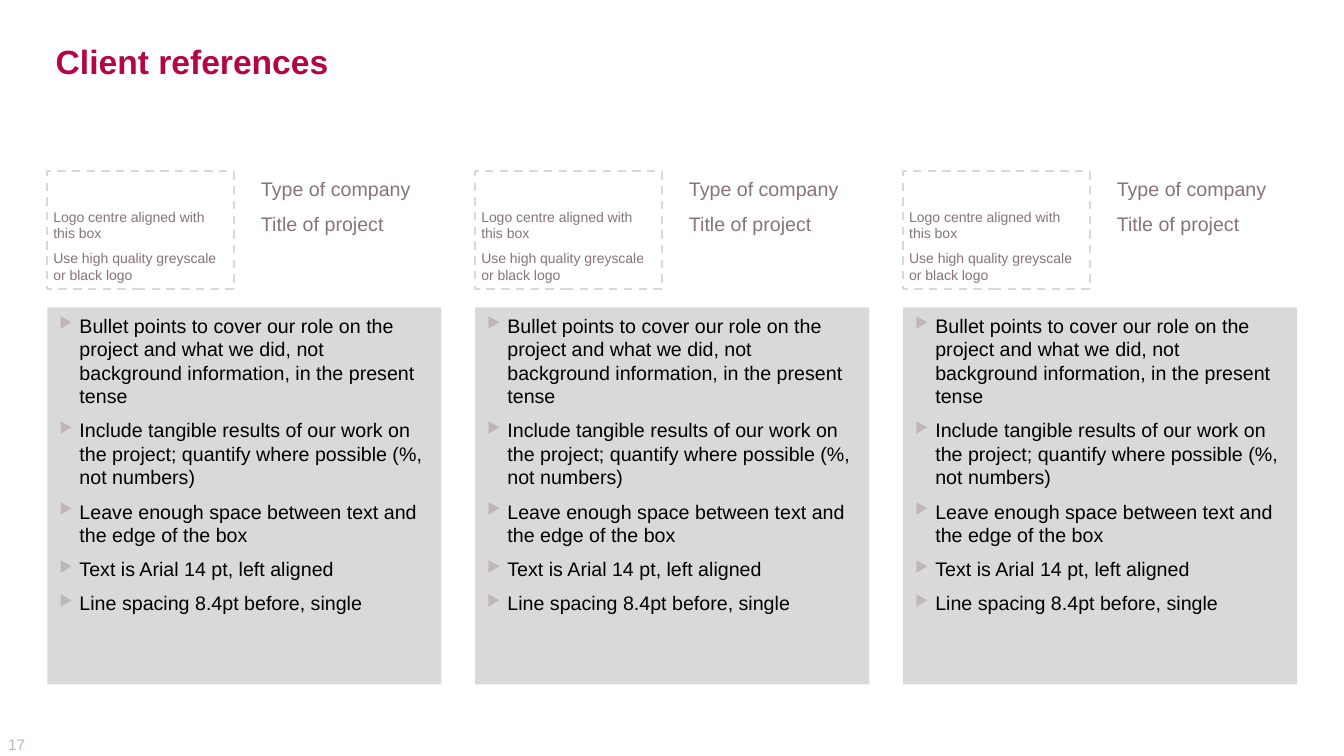
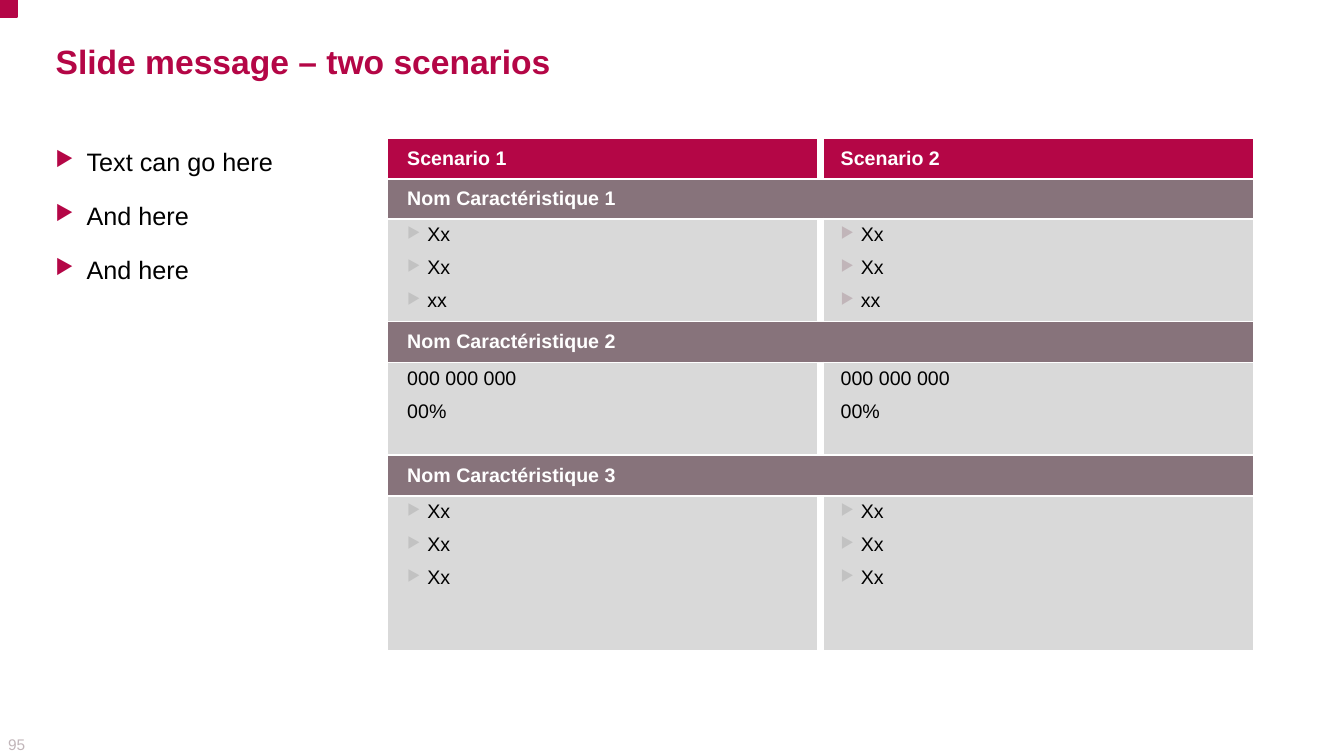
from pptx import Presentation
from pptx.dml.color import RGBColor
from pptx.enum.dml import MSO_LINE_DASH_STYLE as Dash
from pptx.enum.shapes import MSO_SHAPE as Shape
from pptx.enum.text import MSO_ANCHOR as Anchor, PP_ALIGN as Align
from pptx.oxml import parse_xml
from pptx.oxml.ns import nsdecls
from pptx.util import Pt

COLOURS = {
    "crimson": "B40646",
    "mauve": "87737B",
    "pale_mauve": "C1B5B9",
    "silver": "C2C2C2",
    "panel": "D9D9D9",
    "black": "000000",
    "white": "FFFFFF",
}
FONT = "Arial"
MARGIN = 33.8
CONTENT_WIDTH = 892.8


def rgb(name):
    return RGBColor.from_string(COLOURS[name])


class Deck:
    """Holds the shared style and the slide being built."""

    def __init__(self):
        self.presentation = Presentation()
        self.presentation.slide_width = Pt(960)
        self.presentation.slide_height = Pt(540)
        self.slide = None

    def add_slide(self, title, number):
        self.slide = self.presentation.slides.add_slide(self.presentation.slide_layouts[6])
        self.text_box(5.8, 524.9, 28, 13.7, [number], size=11, colour="pale_mauve",
                      insets=(0, 0), anchor=Anchor.MIDDLE)
        self.text_box(MARGIN, 25.2, CONTENT_WIDTH, 36.7, [title], size=24, colour="crimson",
                      bold=True, insets=(6, 3.6), anchor=Anchor.MIDDLE)

    def set_text(self, frame, lines, size=14, colour="black", bold=False, before=0, after=0,
                 bullet=None, indent=14.4, bullet_size=77):
        frame.word_wrap = True
        frame.text = "\n".join(lines)
        for index, paragraph in enumerate(frame.paragraphs):
            paragraph.alignment = Align.LEFT
            paragraph.space_before = Pt(before if index else 0)
            paragraph.space_after = Pt(after)
            if bullet:
                self.add_bullet(paragraph, bullet, indent, bullet_size)
            for run in paragraph.runs:
                run.font.name = FONT
                run.font.size = Pt(size)
                run.font.bold = bold
                run.font.color.rgb = rgb(colour)

    def add_bullet(self, paragraph, colour, indent, percent):
        properties = paragraph._p.get_or_add_pPr()
        properties.set("marL", str(Pt(indent)))
        properties.set("indent", str(-Pt(indent)))
        for element in (
            f'<a:buClr {nsdecls("a")}><a:srgbClr val="{COLOURS[colour]}"/></a:buClr>',
            f'<a:buSzPct {nsdecls("a")} val="{percent * 1000}"/>',
            f'<a:buChar {nsdecls("a")} char="▶"/>',
        ):
            properties.append(parse_xml(element))

    def fill_frame(self, frame, lines, insets, anchor, **style):
        frame.margin_left = frame.margin_right = Pt(insets[0])
        frame.margin_top = frame.margin_bottom = Pt(insets[1])
        frame.vertical_anchor = anchor
        self.set_text(frame, lines, **style)

    def text_box(self, left, top, width, height, lines, insets=(4.3, 4.3),
                 anchor=Anchor.TOP, **style):
        box = self.slide.shapes.add_textbox(Pt(left), Pt(top), Pt(width), Pt(height))
        self.fill_frame(box.text_frame, lines, insets, anchor, **style)

    def rectangle(self, left, top, width, height, fill=None, line=None, dash=None,
                  lines=(), insets=(4.3, 4.3), anchor=Anchor.TOP, **style):
        shape = self.slide.shapes.add_shape(
            Shape.RECTANGLE, Pt(left), Pt(top), Pt(width), Pt(height))
        shape.shadow.inherit = False
        if fill:
            shape.fill.solid()
            shape.fill.fore_color.rgb = rgb(fill)
        else:
            shape.fill.background()
        if line:
            shape.line.color.rgb = rgb(line)
            shape.line.width = Pt(1.5)
            shape.line.dash_style = dash
        else:
            shape.line.fill.background()
        if lines:
            self.fill_frame(shape.text_frame, lines, insets, anchor, **style)

    def table(self, left, top, widths, heights):
        table = self.slide.shapes.add_table(
            len(heights), len(widths), Pt(left), Pt(top), Pt(sum(widths)), Pt(sum(heights))).table
        table.first_row = table.horz_banding = False
        for column, width in zip(table.columns, widths):
            column.width = Pt(width)
        for row, height in zip(table.rows, heights):
            row.height = Pt(height)
        return table

    def cell(self, cell, lines, fill, wide_edge=None, anchor=Anchor.TOP, **style):
        """Fill a cell; wide_edge ("L" or "R") gets the thick white divider."""
        cell.fill.solid()
        cell.fill.fore_color.rgb = rgb(fill)
        cell.margin_left, cell.margin_right = Pt(14.4), Pt(7.2)
        cell.margin_top = cell.margin_bottom = Pt(3.6)
        cell.vertical_anchor = anchor
        properties = cell._tc.get_or_add_tcPr()
        for position, edge in enumerate("LRTB"):
            width = Pt(6 if edge == wide_edge else 1.5)
            properties.insert(position, parse_xml(
                f'<a:ln{edge} {nsdecls("a")} w="{width}"><a:solidFill>'
                f'<a:srgbClr val="{COLOURS["white"]}"/></a:solidFill></a:ln{edge}>'))
        if lines:
            self.set_text(cell.text_frame, lines, **style)


def build_references(deck):
    deck.add_slide("Client references", "17")
    column_width, column_step = 281.5, 305.65
    logo_width, header_top, header_height = 133.2, 122.4, 84.2
    role_points = [
        "Bullet points to cover our role on the project and what we did, "
        "not background information, in the present tense",
        "Include tangible results of our work on the project; "
        "quantify where possible (%, not numbers)",
        "Leave enough space between text and the edge of the box",
        "Text is Arial 14 pt, left aligned",
        "Line spacing 8.4pt before, single",
    ]
    for column in range(3):
        left = MARGIN + column * column_step
        deck.rectangle(left, header_top, logo_width, header_height, line="panel", dash=Dash.DASH,
                       lines=["Logo centre aligned with this box",
                              "Use high quality greyscale or black logo"],
                       anchor=Anchor.BOTTOM, size=10, colour="mauve", before=5.5)
        deck.text_box(left + column_width - logo_width, header_top, logo_width, header_height,
                      ["Type of company", "Title of project"], colour="mauve", before=7.6)
        deck.rectangle(left, 219.6, column_width, 269.3, fill="panel", lines=role_points,
                       insets=(8.6, 4.3), before=7.6, bullet="pale_mauve")


def build_scenarios(deck):
    deck.add_slide("Slide message – two scenarios", "95")
    deck.rectangle(0, 0, 12.2, 12.2, fill="crimson", line="crimson")
    deck.text_box(MARGIN, 98.6, 233.3, 109.4, ["Text can go here", "And here", "And here"],
                  insets=(5.8, 5.8), size=18, before=5, after=12,
                  bullet="crimson", indent=22.3, bullet_size=82)

    table = deck.table(276.5, 98.6, [309.6, 309.6], [29.3, 28.5, 71.2, 29.3, 66.4, 28.9, 110.7])
    heading = {"anchor": Anchor.MIDDLE, "colour": "white", "bold": True}
    edges = "RL"
    for column, edge in enumerate(edges):
        deck.cell(table.cell(0, column), [f"Scenario {column + 1}"], "crimson", edge, **heading)

    points = ["Xx", "Xx", "xx"]
    figures = ["000 000 000", "00%"]
    features = [
        (points, ["silver", "pale_mauve"]),
        (figures, [None, None]),
        (["Xx"] * 3, ["silver", "silver"]),
    ]
    for index, (lines, bullets) in enumerate(features):
        row = 1 + 2 * index
        table.cell(row, 0).merge(table.cell(row, 1))
        deck.cell(table.cell(row, 0), [f"Nom Caractéristique {index + 1}"], "mauve", **heading)
        deck.cell(table.cell(row, 1), [], "mauve")
        for column, (edge, bullet) in enumerate(zip(edges, bullets)):
            deck.cell(table.cell(row + 1, column), lines, "panel", edge, before=7.8, bullet=bullet)


def main():
    deck = Deck()
    build_references(deck)
    build_scenarios(deck)
    deck.presentation.save("out.pptx")


if __name__ == "__main__":
    main()
